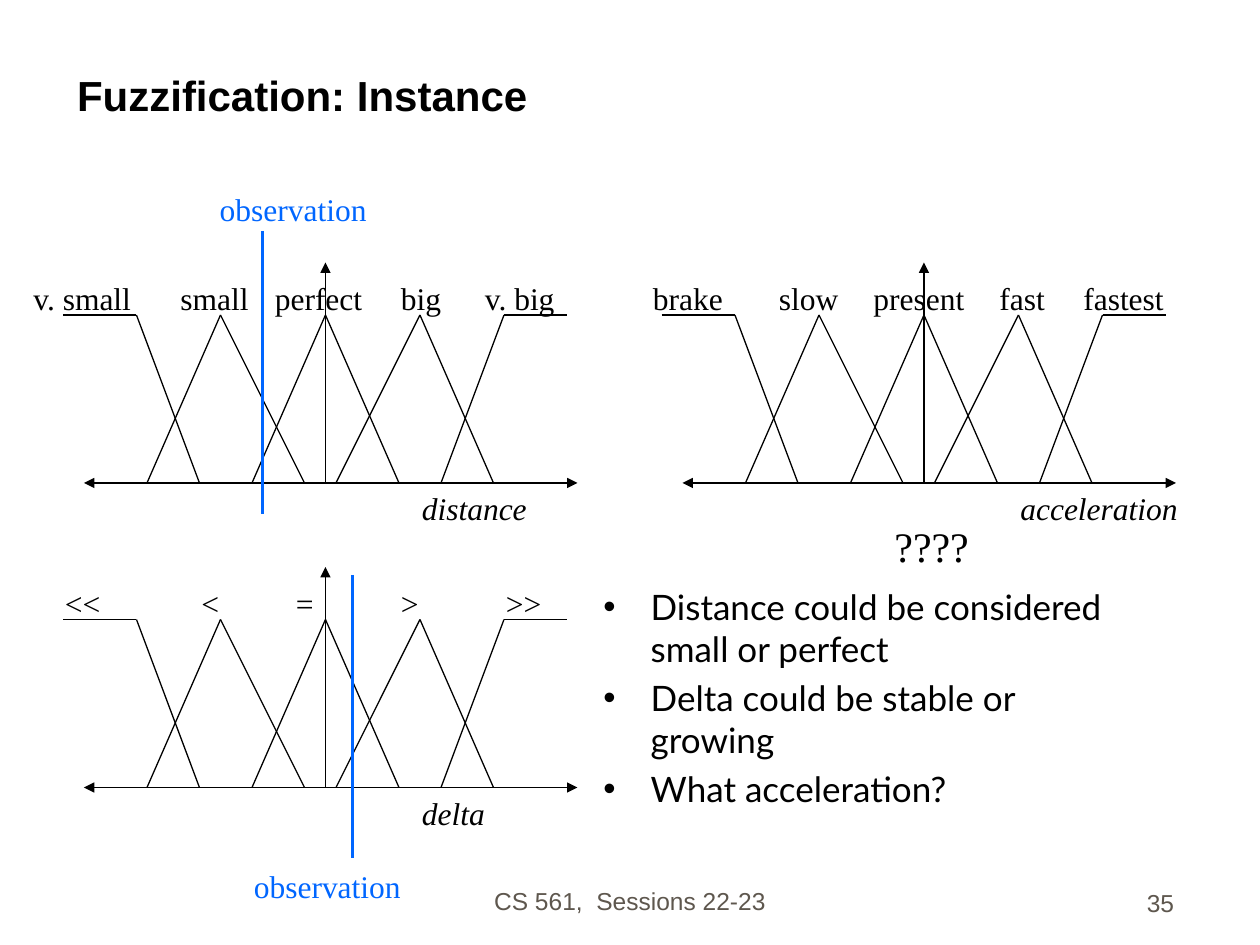
from itertools import pairwise

from lxml.etree import SubElement
from pptx import Presentation
from pptx.dml.color import RGBColor
from pptx.enum.shapes import MSO_CONNECTOR
from pptx.enum.text import MSO_ANCHOR, MSO_AUTO_SIZE, PP_ALIGN
from pptx.oxml.ns import qn
from pptx.util import Pt

BLACK = RGBColor(0x00, 0x00, 0x00)
BLUE = RGBColor(0x00, 0x66, 0xFF)
GRAY = RGBColor(0x5E, 0x57, 0x4E)

AXIS_X = 150
PEAK = 96
MEMBERSHIPS = [
    [(0, PEAK), (42, PEAK), (78, 0)],
    [(48, 0), (90, PEAK), (138, 0)],
    [(108, 0), (AXIS_X, PEAK), (192, 0)],
    [(156, 0), (204, PEAK), (246, 0)],
    [(216, 0), (252, PEAK), (288, PEAK)],
]
DISTANCE_TERMS = [("v. small", -24, 71.3), ("small", 60, 53.3), ("perfect", 114, 64.8),
                  ("big", 186, 37.4), ("v. big", 234, 55.4)]
DELTA_TERMS = [("<<", -6, 34.6), ("<", 72, 24.5), ("=", 126, 24.5),
               (">", 186, 24.5), (">>", 246, 34.6)]
ACCELERATION_TERMS = [("brake", -12, 54.7), ("slow", 60, 48.2), ("present", 114, 66.2),
                      ("fast", 186, 40.3), ("fastest", 234, 60.5)]
CONCLUSIONS = [
    "Distance could be considered small or perfect",
    "Delta could be stable or growing",
    "What acceleration?",
]


def write(paragraph, text, *, font, size, color=BLACK, bold=False, italic=False,
          align=PP_ALIGN.LEFT):
    run = paragraph.add_run()
    run.text = text
    run.font.name = font
    run.font.size = Pt(size)
    run.font.color.rgb = color
    run.font.bold = bold
    run.font.italic = italic
    paragraph.alignment = align


class FuzzySlide:
    """Hold the style and the current slide, and draw each kind of element on it."""

    heading_font = "Arial"
    body_font = "Lato"
    label_font = "Times New Roman"

    def __init__(self, slide):
        self.slide = slide

    def frame(self, left, top, width, height, anchor=MSO_ANCHOR.TOP):
        box = self.slide.shapes.add_textbox(Pt(left), Pt(top), Pt(width), Pt(height))
        box.text_frame.word_wrap = True
        box.text_frame.vertical_anchor = anchor
        return box.text_frame

    def heading(self, text, left, top, width, height, **style):
        frame = self.frame(left, top, width, height, MSO_ANCHOR.BOTTOM)
        write(frame.paragraphs[0], text, font=self.heading_font, **style)

    def label(self, text, left, top, width, size=18, **style):
        frame = self.frame(left, top, width, size * 1.2 + 7.2)
        frame.word_wrap = False
        frame.auto_size = MSO_AUTO_SIZE.SHAPE_TO_FIT_TEXT
        write(frame.paragraphs[0], text, font=self.label_font, size=size, **style)

    def bullets(self, items, left, top, width, height):
        frame = self.frame(left, top, width, height)
        for index, item in enumerate(items):
            paragraph = frame.add_paragraph() if index else frame.paragraphs[0]
            write(paragraph, item, font=self.body_font, size=20)
            paragraph.space_before = Pt(4)
            properties = paragraph._p.get_or_add_pPr()
            properties.set("marL", str(Pt(27)))
            properties.set("indent", str(-Pt(27)))
            SubElement(properties, qn("a:buFont"), typeface="Arial")
            SubElement(properties, qn("a:buChar"), char="•")

    def line(self, start, end, color=BLACK, weight=0.75, arrows=()):
        points = [Pt(value) for value in (*start, *end)]
        connector = self.slide.shapes.add_connector(MSO_CONNECTOR.STRAIGHT, *points)
        connector.line.color.rgb = color
        connector.line.width = Pt(weight)
        for arrow in arrows:
            SubElement(connector.line._get_or_add_ln(), qn(f"a:{arrow}"), type="triangle")
        SubElement(connector._element.spPr, qn("a:effectLst"))

    def plot(self, variable, name_width, left, base, terms):
        self.line((left + 12, base), (left + 294, base), arrows=("headEnd", "tailEnd"))
        self.line((left + AXIS_X, base), (left + AXIS_X, base - 126), arrows=("tailEnd",))
        for membership in MEMBERSHIPS:
            corners = [(left + x, base - y) for x, y in membership]
            for start, end in pairwise(corners):
                self.line(start, end)
        self.label(variable, left + 198, base, name_width, italic=True)
        for term, offset, width in terms:
            self.label(term, left + offset, base - 120, width)

    def observation(self, x, top, label_left, label_top):
        self.line((x, top), (x, top + 162), color=BLUE, weight=1.5)
        self.label("observation", label_left, label_top, 98.6, color=BLUE)


def main():
    presentation = Presentation()
    presentation.slide_width = Pt(720)
    presentation.slide_height = Pt(540)
    fuzzy = FuzzySlide(presentation.slides.add_slide(presentation.slide_layouts[6]))

    fuzzy.heading("CS 561,  Sessions 22-23", 246, 490.5, 228, 36,
                  size=14, color=GRAY, align=PP_ALIGN.CENTER)
    fuzzy.heading("35", 528, 492, 150, 36, size=14, color=GRAY, align=PP_ALIGN.RIGHT)
    fuzzy.heading("Fuzzification: Instance", 37, 18, 642, 54, size=24, bold=True)
    fuzzy.bullets(CONCLUSIONS, 337.7, 331, 322, 166)

    fuzzy.plot("distance", 74.2, 36, 276, DISTANCE_TERMS)
    fuzzy.plot("delta", 50.4, 36, 450, DELTA_TERMS)
    fuzzy.plot("acceleration", 104.4, 378, 276, ACCELERATION_TERMS)
    fuzzy.label("????", 504, 294, 56.9, size=24)

    fuzzy.observation(150, 132, 118.5, 105)
    fuzzy.observation(201.5, 328.5, 138, 492)

    presentation.save("out.pptx")


if __name__ == "__main__":
    main()
